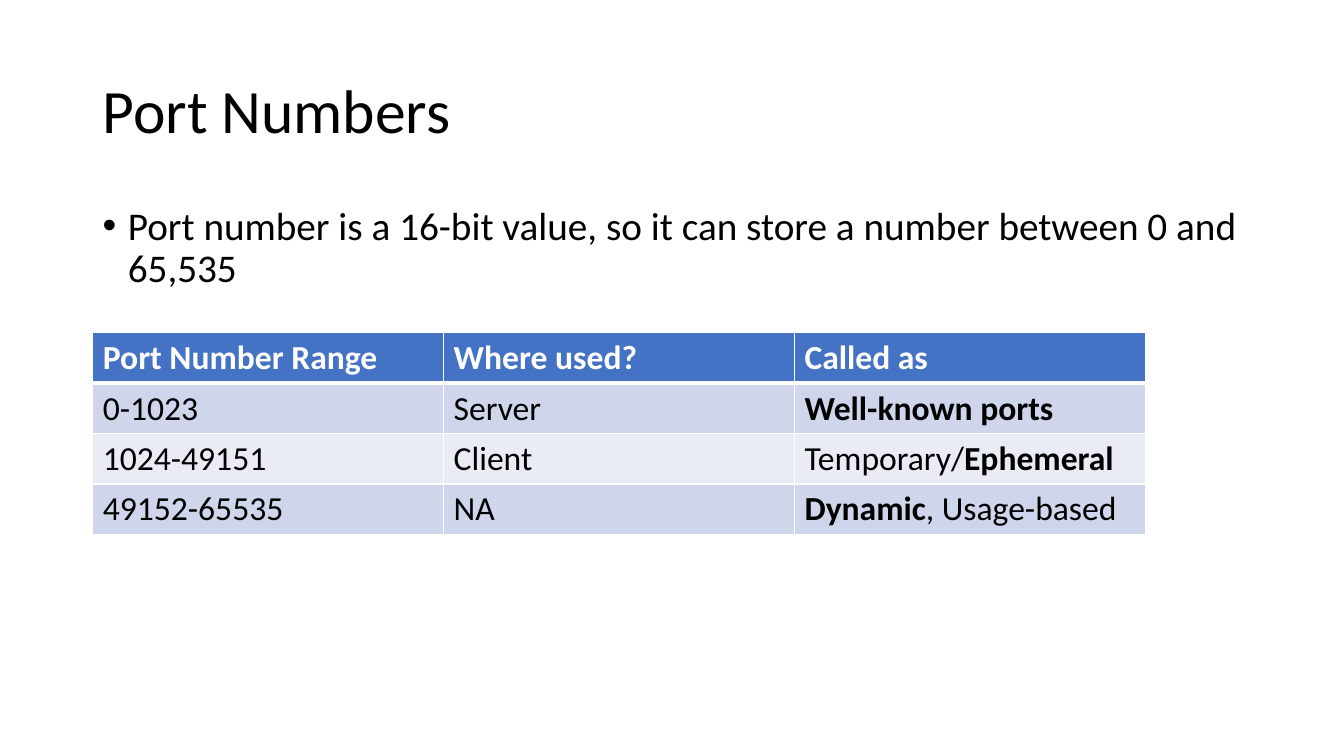
from lxml.etree import SubElement
from pptx import Presentation
from pptx.dml.color import RGBColor
from pptx.enum.text import MSO_ANCHOR
from pptx.oxml.ns import qn
from pptx.util import Inches, Pt

FONT = "Calibri"
COLORS = {
    "ink": "000000",
    "white": "FFFFFF",
    "head": "4472C4",
    "odd": "CFD5EA",
    "even": "E9EBF5",
}
TITLE = "Port Numbers"
POINT = "Port number is a 16-bit value, so it can store a number between 0 and 65,535"
HEADS = ["Port Number Range", "Where used?", "Called as"]
ROWS = [
    ["0-1023", "Server", [("Well-known ports", True)]],
    ["1024-49151", "Client", [("Temporary/", False), ("Ephemeral", True)]],
    ["49152-65535", "NA", [("Dynamic", True), (", Usage-based", False)]],
]
LEFT, WIDE = 0.92, 11.5
TOP, COL, ROW = 3.3, 3.48, 0.5


def color(name):
    return RGBColor.from_string(COLORS[name])


def add_run(para, text, size, ink="ink", bold=False):
    run = para.add_run()
    run.text = text
    font = run.font
    font.name, font.size, font.bold = FONT, Pt(size), bold
    font.color.rgb = color(ink)


def add_text(slide, top, high, text, size, anchor):
    box = slide.shapes.add_textbox(
        Inches(LEFT), Inches(top), Inches(WIDE), Inches(high))
    frame = box.text_frame
    frame.word_wrap = True
    frame.vertical_anchor = anchor
    para = frame.paragraphs[0]
    para.line_spacing = 0.9
    add_run(para, text, size)
    return para


def add_bullet(para):
    para.space_before = Pt(10)
    props = para._p.get_or_add_pPr()
    props.set("marL", str(Inches(0.25)))
    props.set("indent", str(-Inches(0.25)))
    SubElement(props, qn("a:buFont"), typeface="Arial")
    SubElement(props, qn("a:buChar"), char="•")


def add_edges(cell, sides):
    props = cell._tc.get_or_add_tcPr()
    for side, width in sides.items():
        line = SubElement(props, qn(f"a:ln{side}"), w=str(Pt(width)))
        fill = SubElement(line, qn("a:solidFill"))
        SubElement(fill, qn("a:srgbClr"), val=COLORS["white"])


def add_ports(slide):
    grid = [HEADS] + ROWS
    wide, high = len(HEADS), len(grid)
    table = slide.shapes.add_table(
        high, wide, Inches(LEFT), Inches(TOP),
        Inches(COL * wide), Inches(ROW * high)).table
    for col in table.columns:
        col.width = Inches(COL)
    for r, row in enumerate(grid):
        head = r == 0
        tone = "head" if head else "odd" if r % 2 else "even"
        table.rows[r].height = Inches(ROW)
        for c, item in enumerate(row):
            cell = table.cell(r, c)
            add_edges(cell, {"L": 1, "R": 1, "T": 3 if r == 1 else 1,
                             "B": 3 if head else 1})
            cell.fill.solid()
            cell.fill.fore_color.rgb = color(tone)
            parts = [(item, head)] if isinstance(item, str) else item
            for text, bold in parts:
                add_run(cell.text_frame.paragraphs[0], text, 24,
                        "white" if head else "ink", bold)


def main():
    deck = Presentation()
    deck.slide_width, deck.slide_height = Inches(13.33), Inches(7.5)
    slide = deck.slides.add_slide(deck.slide_layouts[6])
    add_text(slide, 0.4, 1.45, TITLE, 44, MSO_ANCHOR.MIDDLE)
    add_bullet(add_text(slide, 2, 4.76, POINT, 28, MSO_ANCHOR.TOP))
    add_ports(slide)
    deck.save("out.pptx")


if __name__ == "__main__":
    main()
